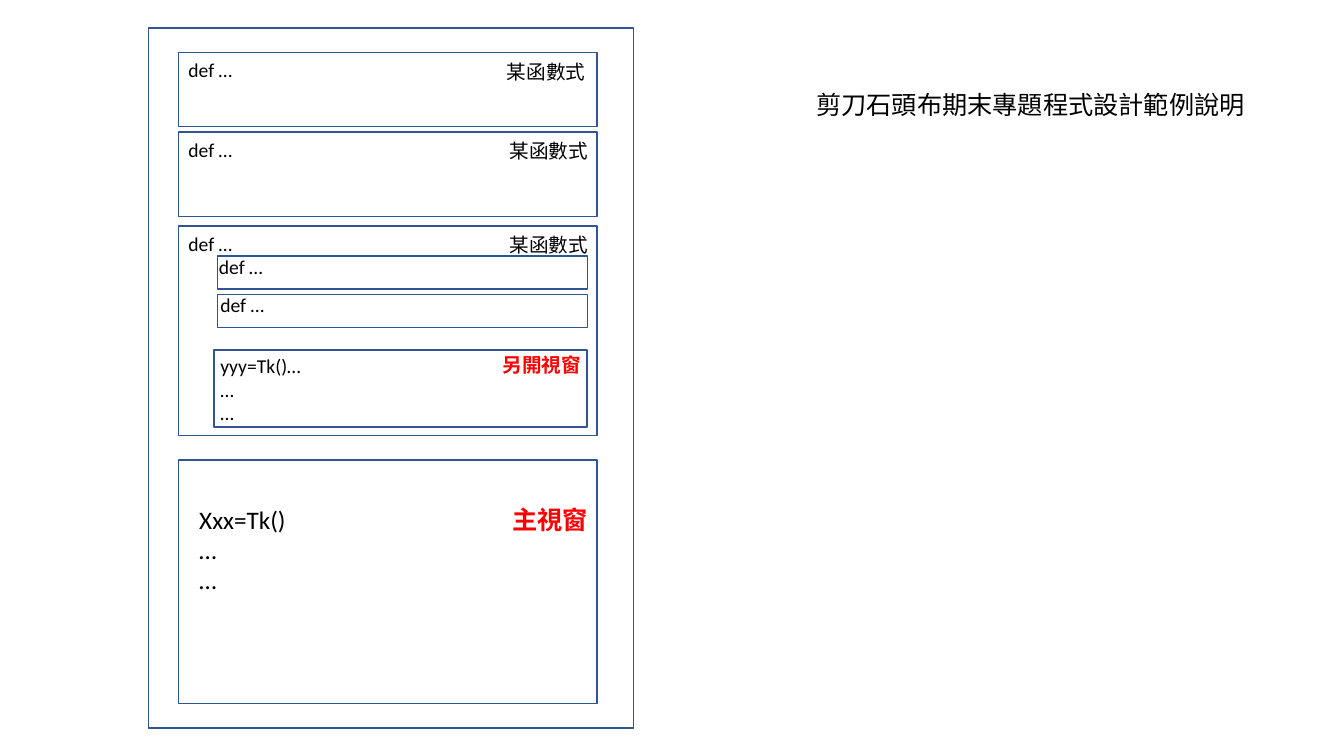
from pptx import Presentation
from pptx.dml.color import RGBColor
from pptx.enum.shapes import MSO_SHAPE as SHAPE
from pptx.enum.text import MSO_AUTO_SIZE as AUTO
from pptx.util import Pt


def rgb(value):
    """Turn a hex string into a colour."""
    return RGBColor.from_string(value)


def write(tf, text, size=14, color="000000", bold=False, font="Calibri"):
    """Fill a text frame, one paragraph for each line of the text."""
    for i, line in enumerate(text.split("\n")):
        p = tf.paragraphs[0] if i == 0 else tf.add_paragraph()
        r = p.add_run()
        r.text = line
        r.font.name, r.font.size, r.font.bold = font, Pt(size), bold
        r.font.color.rgb = rgb(color)


class Deck:
    """Holds the style and the current slide."""

    LINE, ACCENT = "325491", "FF0000"

    def __init__(self, prs):
        """Add a blank slide to draw on."""
        self.s = prs.slides.add_slide(prs.slide_layouts[6])

    def frame(self, x, y, w, h):
        """Draw an unfilled outlined rectangle."""
        sp = self.s.shapes.add_shape(SHAPE.RECTANGLE, Pt(x), Pt(y), Pt(w), Pt(h))
        sp.shadow.inherit = False
        sp.fill.background()
        sp.line.color.rgb = rgb(self.LINE)
        sp.line.width = Pt(1)

    def text(self, text, x, y, w, h=24.25, **style):
        """Place an unwrapped text box that fits its text."""
        tf = self.s.shapes.add_textbox(Pt(x), Pt(y), Pt(w), Pt(h)).text_frame
        tf.word_wrap = False
        tf.auto_size = AUTO.SHAPE_TO_FIT_TEXT
        write(tf, text, **style)


prs = Presentation()
prs.slide_width, prs.slide_height = Pt(960), Pt(540)
deck = Deck(prs)

LEFT, WIDTH = 127.5, 299
DEF_W, LABEL_W = 46, 71.5

# Whole program
deck.frame(106, 20, 346.5, 500)

# Functions: frame top, frame height, "def" top, label left, label top
functions = [
    (37.5, 52.75, 37.5, 355, 39.5),
    (94.25, 60.5, 95, 357, 95.5),
    (161.5, 149.5, 162, 357, 162.5),
]
for top, height, def_top, label_x, label_y in functions:
    deck.frame(LEFT, top, WIDTH, height)
    deck.text("def …", LEFT, def_top, DEF_W)
    deck.text("某函數式", label_x, label_y, LABEL_W)

# Nested functions
for top, def_x in ((182.75, 149.25), (210.25, 150.25)):
    deck.frame(155.5, top, 264, 23.75)
    deck.text("def …", def_x, top - 4.25, DEF_W)

# Second window
deck.frame(152.75, 250, 266.5, 55)
deck.text("yyy=Tk()…\n…\n…", 150.25, 249.25, 73, 58)
deck.text("另開視窗", 352, 248.5, LABEL_W, color=deck.ACCENT, bold=True)

# Main window
deck.frame(LEFT, 328.5, WIDTH, 174)
deck.text("Xxx=Tk()\n…\n…", 135.25, 356.5, 77, 72.75, size=18)
deck.text("主視窗", 358.75, 356.5, 69, 29, size=18, color=deck.ACCENT, bold=True)

deck.text("剪刀石頭布期末專題程式設計範例說明", 576, 60.5, 323.25, 29, size=18)

prs.save("out.pptx")
